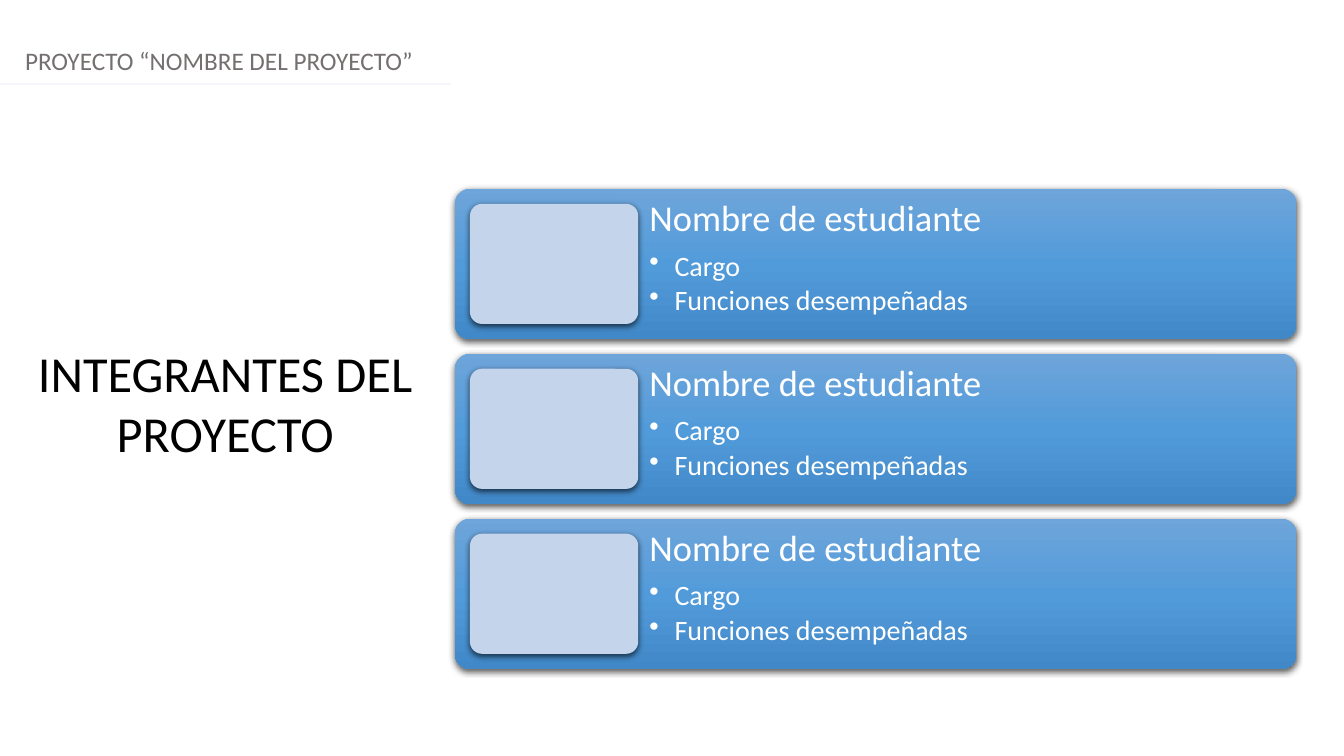
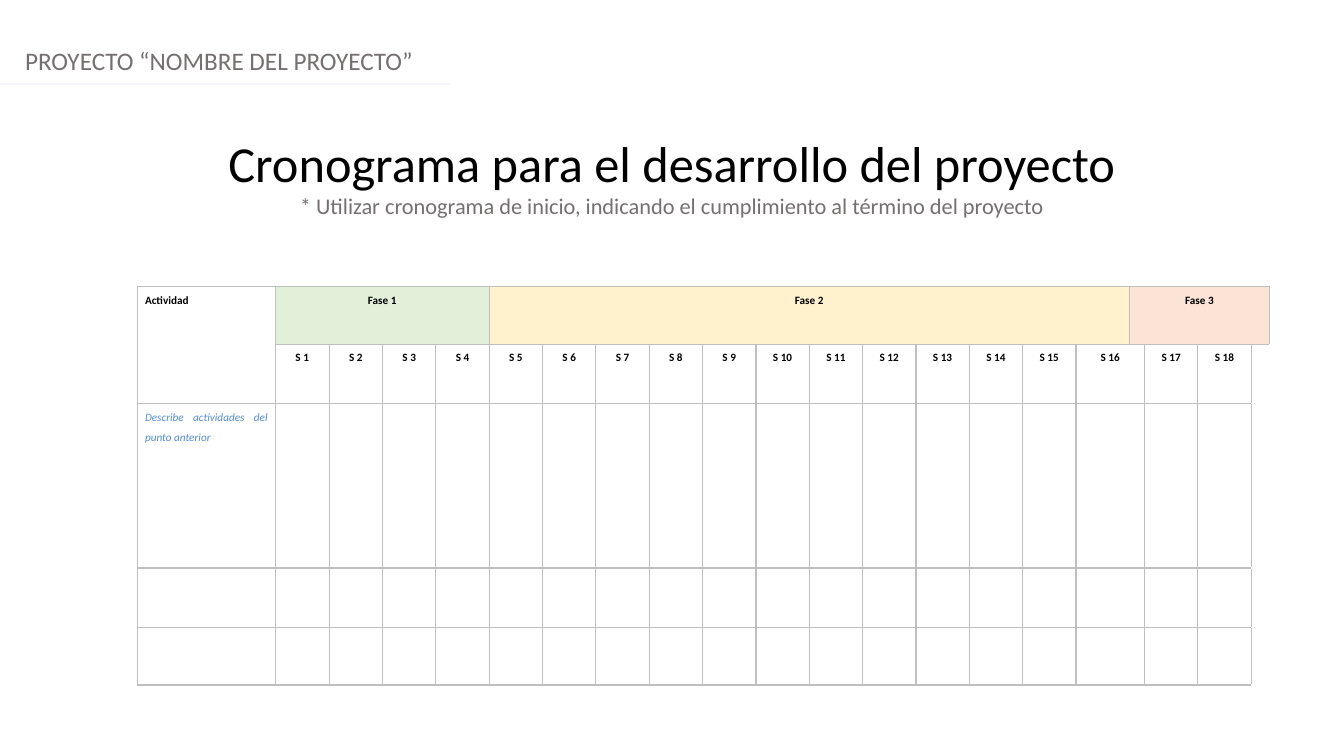
"""Build the project team and schedule slides."""
from lxml.etree import SubElement
from pptx import Presentation
from pptx.dml.color import RGBColor
from pptx.enum.shapes import MSO_CONNECTOR, MSO_SHAPE
from pptx.enum.text import MSO_ANCHOR, MSO_AUTO_SIZE, PP_ALIGN
from pptx.oxml.ns import qn
from pptx.util import Pt

FONT = "Calibri"
COLORS = {
    "white": "FFFFFF", "black": "000000", "gray": "757070", "rule": "F5F7FC",
    "photo": "C3D4EB", "border": "BFBFBF", "hint": "548DD4",
    "green": "E2EFD9", "yellow": "FFF2CC", "orange": "FBE4D5",
}
CARD_STOPS = [(0, "6EA5DA"), (50, "529BDA"), (100, "4188C8")]

HEADER = "PROYECTO “NOMBRE DEL PROYECTO”"
TEAM_TITLE = "INTEGRANTES DEL PROYECTO"
MEMBERS = [("Nombre de estudiante", ["Cargo", "Funciones desempeñadas"])] * 3
SCHEDULE_TITLE = "Cronograma para el desarrollo del proyecto"
SCHEDULE_NOTE = "* Utilizar cronograma de inicio, indicando el cumplimiento al término del proyecto"
ACTIVITY = "Actividad"
ACTIVITY_HINT = "Describe actividades del punto anterior"
PHASES = [("Fase 1", 4, "green"), ("Fase 2", 12, "yellow"), ("Fase 3", 4, "orange")]
WEEKS = [f"S {number}" for number in range(1, 19)]
SPLIT_WEEK = 16

SLIDE_SIZE = (960, 540)
CARD = {"left": 324.9, "top": 134.8, "width": 601.2, "height": 107.4, "pitch": 117.8}
PHOTO = {"inset": 10.8, "width": 120.2, "height": 85.8}
WEEK_WIDTH, SLIVER_WIDTH = 38.1, 10.9
COLUMN_WIDTHS = [98.2, 38.6] + [WEEK_WIDTH] * 15 + [SLIVER_WIDTH, WEEK_WIDTH, WEEK_WIDTH, SLIVER_WIDTH]
ROW_HEIGHTS = [41.2, 42.5, 117.4, 42.5, 41.2]
TABLE_LEFT, TABLE_TOP = 98.4, 204.6


def rgb(name):
    return RGBColor.from_string(COLORS[name])


def place(box, left, top, width, height):
    for side, value in {"left": left, "top": top, "width": width, "height": height}.items():
        setattr(box, side, Pt(value))


def set_frame(frame, **margins):
    frame.word_wrap = True
    frame.auto_size = MSO_AUTO_SIZE.NONE
    frame.vertical_anchor = MSO_ANCHOR.TOP
    for side, value in margins.items():
        setattr(frame, f"margin_{side}", Pt(value))


def write(paragraph, text, size, color, bold=False, italic=False, **layout):
    run = paragraph.add_run()
    run.text = text
    font = {"name": FONT, "size": Pt(size), "bold": bold, "italic": italic}
    for key, value in font.items():
        setattr(run.font, key, value)
    run.font.color.rgb = rgb(color)
    for key, value in layout.items():
        setattr(paragraph, key, value)


def add_bullet(paragraph):
    properties = paragraph._p.get_or_add_pPr()
    properties.set("marL", str(Pt(18)))
    properties.set("indent", str(-Pt(18)))
    SubElement(properties, qn("a:buChar"), char="•")


def add_header(slide):
    header = slide.shapes.add_textbox(Pt(10.8), Pt(28.8), Pt(940), Pt(29))
    set_frame(header.text_frame)
    write(header.text_frame.paragraphs[0], HEADER, 18, "gray")
    rule = slide.shapes.add_connector(MSO_CONNECTOR.STRAIGHT, 0, Pt(59.8), Pt(321.8), Pt(59.8))
    rule.line.color.rgb = rgb("rule")
    rule.line.width = Pt(1.25)
    SubElement(rule._element.spPr, qn("a:effectLst"))


def add_slide(deck, title, area):
    slide = deck.slides.add_slide(deck.slide_layouts[5])
    add_header(slide)
    heading = slide.shapes.title
    place(heading, *area)
    set_frame(heading.text_frame)
    write(heading.text_frame.paragraphs[0], title, 36, "black", alignment=PP_ALIGN.CENTER)
    return slide


def add_panel(slide, left, top, width, height):
    panel = slide.shapes.add_shape(
        MSO_SHAPE.ROUNDED_RECTANGLE, Pt(left), Pt(top), Pt(width), Pt(height))
    panel.adjustments[0] = 0.1
    panel.line.fill.background()
    panel.shadow.inherit = False
    effects = panel._element.spPr.find(qn("a:effectLst"))
    shadow = SubElement(effects, qn("a:outerShdw"), blurRad=str(Pt(4.5)), dist=str(Pt(1.5)),
                        dir="5400000", algn="ctr", rotWithShape="0")
    tint = SubElement(shadow, qn("a:srgbClr"), val=COLORS["black"])
    SubElement(tint, qn("a:alpha"), val="63000")
    return panel


def fill_gradient(panel):
    panel.fill.gradient()
    panel.fill.gradient_angle = 270
    stops = panel._element.spPr.find(f".//{qn('a:gsLst')}")
    for stop in list(stops):
        stops.remove(stop)
    for position, color in CARD_STOPS:
        stop = SubElement(stops, qn("a:gs"), pos=str(position * 1000))
        SubElement(stop, qn("a:srgbClr"), val=color)


def add_member(slide, top, name, duties):
    card = add_panel(slide, CARD["left"], top, CARD["width"], CARD["height"])
    fill_gradient(card)
    frame = card.text_frame
    text_left = PHOTO["inset"] + PHOTO["width"] + 7.9
    set_frame(frame, left=text_left - 3.1, top=4.8, right=4.8, bottom=4.8)
    write(frame.paragraphs[0], name, 26, "white", alignment=PP_ALIGN.LEFT, line_spacing=0.9)
    for index, duty in enumerate(duties):
        line = frame.add_paragraph()
        write(line, duty, 20, "white", alignment=PP_ALIGN.LEFT, line_spacing=0.9,
              space_before=Pt(3 if index else 9.1))
        add_bullet(line)
    photo = add_panel(slide, CARD["left"] + PHOTO["inset"], top + PHOTO["inset"],
                      PHOTO["width"], PHOTO["height"])
    photo.fill.solid()
    photo.fill.fore_color.rgb = rgb("photo")


def set_borders(cell, sides):
    properties = cell._tc.get_or_add_tcPr()
    for side in sides:
        border = SubElement(properties, qn(f"a:ln{side}"), w=str(Pt(1)))
        fill = SubElement(border, qn("a:solidFill"))
        SubElement(fill, qn("a:srgbClr"), val=COLORS["border"])


def format_grid(table):
    last = len(COLUMN_WIDTHS) - 1
    for row in range(len(ROW_HEIGHTS)):
        for column in range(last + 1):
            cell = table.cell(row, column)
            tail = "LT" if row == 1 else "L"
            set_borders(cell, "LRTB" if row == 0 or column < last else tail)
            cell.fill.background()
            for side, value in {"left": 5.2, "right": 5.2, "top": 0, "bottom": 0}.items():
                setattr(cell, f"margin_{side}", Pt(value))


def write_cell(cell, text, alignment=PP_ALIGN.CENTER, color="black", bold=True, italic=False):
    write(cell.text_frame.paragraphs[0], text, 8, color, bold, italic,
          alignment=alignment, line_spacing=1.5)


def add_schedule(slide):
    table = slide.shapes.add_table(
        len(ROW_HEIGHTS), len(COLUMN_WIDTHS), Pt(TABLE_LEFT), Pt(TABLE_TOP),
        Pt(sum(COLUMN_WIDTHS)), Pt(sum(ROW_HEIGHTS))).table
    table.first_row = table.horz_banding = False
    for column, width in zip(table.columns, COLUMN_WIDTHS):
        column.width = Pt(width)
    for row, height in zip(table.rows, ROW_HEIGHTS):
        row.height = Pt(height)
    format_grid(table)

    table.cell(0, 0).merge(table.cell(1, 0))
    write_cell(table.cell(0, 0), ACTIVITY, PP_ALIGN.JUSTIFY)
    write_cell(table.cell(2, 0), ACTIVITY_HINT, PP_ALIGN.JUSTIFY, "hint", False, True)
    start = 1
    for phase, span, color in PHASES:
        cell = table.cell(0, start)
        cell.merge(table.cell(0, start + span - 1))
        cell.fill.solid()
        cell.fill.fore_color.rgb = rgb(color)
        write_cell(cell, phase)
        start += span
    for row in range(1, len(ROW_HEIGHTS)):
        table.cell(row, SPLIT_WEEK).merge(table.cell(row, SPLIT_WEEK + 1))
    for number, week in enumerate(WEEKS, 1):
        write_cell(table.cell(1, number + (number > SPLIT_WEEK)), week)


def main():
    deck = Presentation()
    deck.slide_width, deck.slide_height = map(Pt, SLIDE_SIZE)

    team = add_slide(deck, TEAM_TITLE, (18.7, 240.5, 284.4, 94.3))
    for index, (name, duties) in enumerate(MEMBERS):
        add_member(team, CARD["top"] + index * CARD["pitch"], name, duties)

    schedule = add_slide(deck, SCHEDULE_TITLE, (0, 90.7, 960, 70.6))
    note = schedule.shapes.title.text_frame.add_paragraph()
    write(note, SCHEDULE_NOTE, 16, "gray", alignment=PP_ALIGN.CENTER)
    add_schedule(schedule)
    deck.save("out.pptx")


if __name__ == "__main__":
    main()
